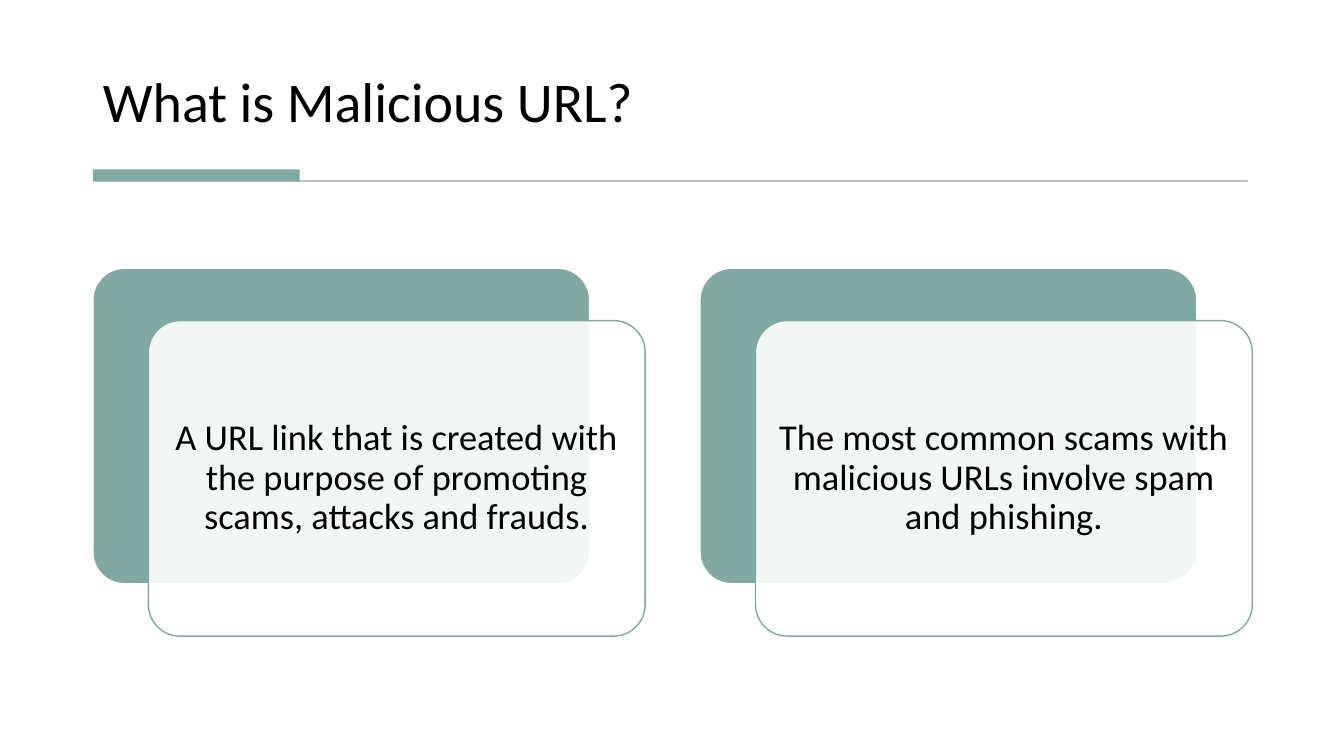
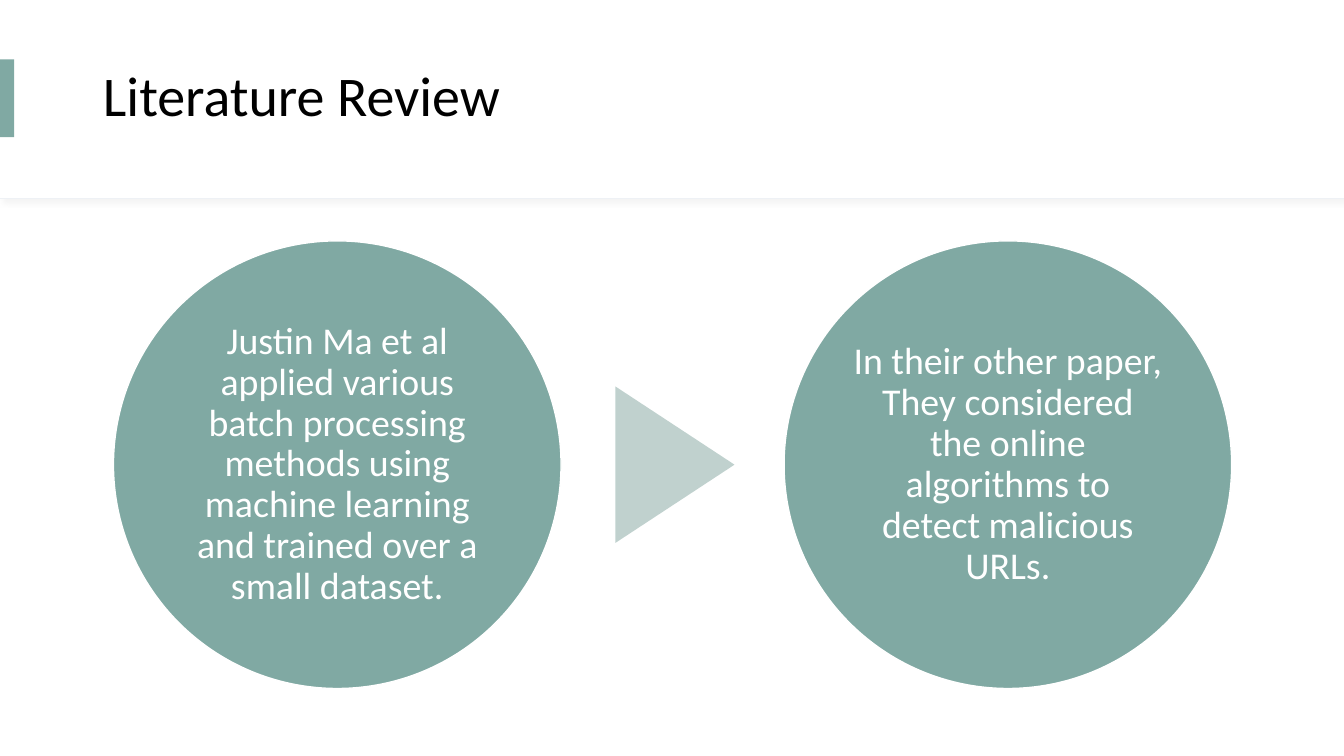
from dataclasses import dataclass

from lxml.etree import SubElement
from pptx import Presentation
from pptx.dml.color import RGBColor
from pptx.enum.shapes import MSO_SHAPE as Preset
from pptx.enum.text import MSO_ANCHOR as Anchor, MSO_AUTO_SIZE as AutoSize, PP_ALIGN as Align
from pptx.oxml.ns import qn
from pptx.util import Cm, Pt

WIDTH, HEIGHT = 33.87, 19.05


@dataclass(frozen=True)
class Theme:
    font: str = "Calibri"
    ink: str = "000000"
    paper: str = "FFFFFF"
    accent: str = "80A9A3"
    pale_accent: str = "C0D1CE"
    rule: str = "595959"
    edge: str = "E5EAF0"
    shade: str = "D9D9D9"
    title_size: int = 40
    card_size: int = 26
    circle_size: int = 27


THEME = Theme()


def write(shape, text, size, color=THEME.ink, align=Align.CENTER, anchor=Anchor.MIDDLE, inset=None):
    """Put one formatted paragraph into a shape or placeholder."""
    frame = shape.text_frame
    frame.word_wrap = True
    frame.auto_size = AutoSize.NONE
    frame.vertical_anchor = anchor
    if inset is not None:
        frame.margin_left = frame.margin_right = Cm(inset)
        frame.margin_top = frame.margin_bottom = Cm(inset)
    para = frame.paragraphs[0]
    para.alignment = align
    para.line_spacing = 0.9
    span = para.add_run()
    span.text = text
    span.font.name = THEME.font
    span.font.size = Pt(size)
    span.font.color.rgb = RGBColor.from_string(color)


def set_alpha(color_element, percent):
    SubElement(color_element, qn("a:alpha"), val=str(percent * 1000))


class SlideBuilder:
    def __init__(self, deck, theme):
        self.deck = deck
        self.theme = theme
        self.page = None

    def new_page(self):
        self.page = self.deck.slides.add_slide(self.deck.slide_layouts[5])

    def title(self, text, height, anchor):
        box = self.page.shapes.title
        box.left, box.top, box.width, box.height = Cm(2.34), Cm(0.71), Cm(29.2), Cm(height)
        write(box, text, self.theme.title_size, align=Align.LEFT, anchor=anchor)
        # The title stays in front of the shapes drawn so far
        self.page.shapes.element.append(box.element)

    def paint(self, shape, fill, line=None, weight=1.0, fill_alpha=100, line_alpha=100):
        shape.shadow.inherit = False
        shape.fill.solid()
        shape.fill.fore_color.rgb = RGBColor.from_string(fill)
        if line:
            shape.line.color.rgb = RGBColor.from_string(line)
            shape.line.width = Pt(weight)
        else:
            shape.line.fill.background()
        for where, alpha in (("", fill_alpha), ("a:ln/", line_alpha)):
            if alpha < 100:
                for color in shape.element.xpath(f"p:spPr/{where}a:solidFill/a:srgbClr"):
                    set_alpha(color, alpha)
        return shape

    def shape(self, preset, left, top, width, height, fill, **style):
        box = self.page.shapes.add_shape(preset, Cm(left), Cm(top), Cm(width), Cm(height))
        return self.paint(box, fill, **style)

    def curved_band(self, side, depth, **style):
        """White header whose lower edge sags as a parabola."""
        steps = 60
        edge = []
        for step in range(steps + 1):
            offset = 1 - 2 * step / steps
            edge.append((WIDTH * (1 + offset) / 2, side + depth * (1 - offset ** 2)))
        outline = self.page.shapes.build_freeform(0, 0, scale=Cm(1))
        outline.add_line_segments([(WIDTH, 0)] + edge, close=True)
        return self.paint(outline.convert_to_shape(), self.theme.paper, **style)

    def soft_shadow(self, shape):
        effects = shape.element.xpath("p:spPr/a:effectLst")[0]
        shadow = SubElement(effects, qn("a:outerShdw"), blurRad=str(Pt(4)), dist=str(Pt(3)),
                            dir=str(45 * 60000), algn="tl", rotWithShape="0")
        set_alpha(SubElement(shadow, qn("a:srgbClr"), val=self.theme.shade), 30)

    def card(self, left, top, text):
        """Solid rounded panel with a translucent text panel over it."""
        theme = self.theme
        width, height = 12.52, 7.95
        back = self.shape(Preset.ROUNDED_RECTANGLE, left, top, width, height,
                          theme.accent, line=theme.paper)
        front = self.shape(Preset.ROUNDED_RECTANGLE, left + 1.4, top + 1.32, width, height,
                           theme.paper, line=theme.accent, fill_alpha=90)
        for panel in (back, front):
            panel.adjustments[0] = 0.1
        write(front, text, theme.card_size, inset=0.28)

    def circle(self, left, top, text):
        theme = self.theme
        disc = self.shape(Preset.OVAL, left, top, 11.28, 11.28, theme.accent, line=theme.paper)
        write(disc, text, theme.circle_size, color=theme.paper, inset=0.09)


def definition_page(build):
    theme = build.theme
    build.new_page()
    build.title("What is Malicious URL?", height=2.82, anchor=Anchor.BOTTOM)

    # Rule with accent bar
    build.shape(Preset.RECTANGLE, 2.41, 4.55, 29.03, 0.02, theme.rule, line=theme.rule,
                weight=0.75, fill_alpha=30, line_alpha=30)
    build.shape(Preset.RECTANGLE, 2.34, 4.27, 5.21, 0.3, theme.accent)

    # Cards
    texts = ("A URL link that is created with the purpose of promoting scams, attacks and frauds.",
             "The most common scams with malicious URLs involve spam and phishing.")
    for column, text in enumerate(texts):
        build.card(2.34 + 15.3 * column, 6.76, text)


def review_page(build):
    theme = build.theme
    build.new_page()

    # Curved header: shadowed edge, then a clean cover
    build.soft_shadow(build.curved_band(4.55, 0.73, line=theme.edge, weight=0.75))
    build.curved_band(4.53, 0.73)
    build.title("Literature Review", height=3.53, anchor=Anchor.MIDDLE)
    build.shape(Preset.RECTANGLE, 0, 1.5, 0.36, 1.96, theme.accent)

    # Two papers and the arrow between them
    texts = ("Justin Ma et al applied various batch processing methods using machine learning "
             "and trained over a small dataset.",
             "In their other paper, They considered the online algorithms to detect malicious URLs.")
    for column, text in enumerate(texts):
        build.circle(2.86 + 16.9 * column, 6.07, text)
    arrow = build.shape(Preset.ISOSCELES_TRIANGLE, 15.04, 10.21, 3.94, 3, theme.pale_accent)
    arrow.rotation = 90


def main():
    deck = Presentation()
    deck.slide_width, deck.slide_height = Cm(WIDTH), Cm(HEIGHT)
    build = SlideBuilder(deck, THEME)
    definition_page(build)
    review_page(build)
    deck.save("out.pptx")


if __name__ == "__main__":
    main()
